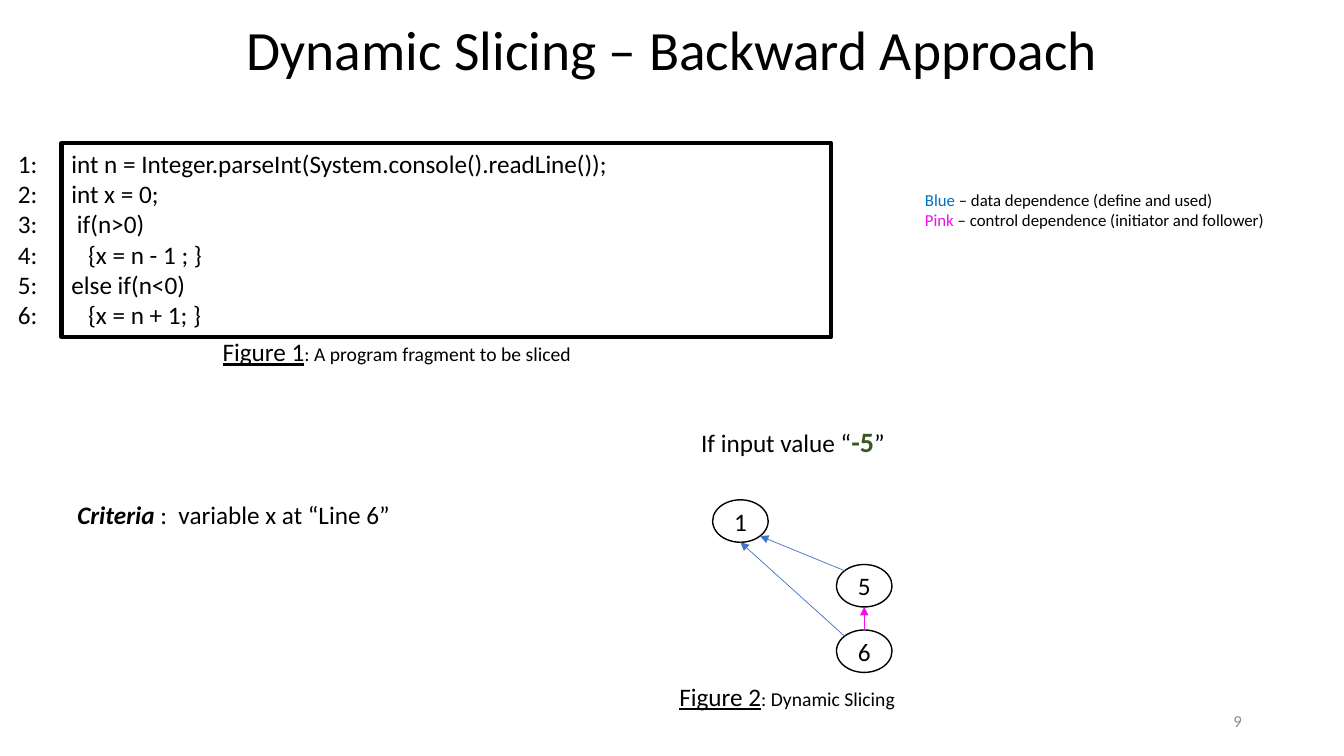
"""Build the slide on the backward approach to dynamic slicing."""
import math
import pptx
import pptx.util
import pptx.dml.color
import pptx.enum.shapes
import pptx.enum.text
import pptx.oxml.ns
import lxml.etree

Cm, Pt = pptx.util.Cm, pptx.util.Pt
RGBColor = pptx.dml.color.RGBColor
ALIGN = pptx.enum.text.PP_ALIGN
MIDDLE = pptx.enum.text.MSO_ANCHOR.MIDDLE
SHAPE = pptx.enum.shapes.MSO_SHAPE
qn = pptx.oxml.ns.qn

BLACK = RGBColor(0x00, 0x00, 0x00)
WHITE = RGBColor(0xFF, 0xFF, 0xFF)
GRAY = RGBColor(0x8C, 0x8C, 0x8C)
BLUE = RGBColor(0x00, 0x70, 0xC0)
LINK = RGBColor(0x44, 0x72, 0xC4)
PINK = RGBColor(0xF3, 0x0B, 0xED)
GREEN = RGBColor(0x38, 0x57, 0x23)


def write(frame, lines, size=18, color=BLACK, align=ALIGN.LEFT):
    """Fill a frame; each line is a list of (text, font settings) runs."""
    for i, line in enumerate(lines):
        para = frame.paragraphs[0] if i == 0 else frame.add_paragraph()
        para.alignment = align
        para.font.name = "Calibri"
        para.font.size = Pt(size)
        para.font.color.rgb = color
        for text, style in line:
            run = para.add_run()
            run.text = text
            for key, value in style.items():
                if key == "color":
                    run.font.color.rgb = value
                else:
                    setattr(run.font, key, value)


def label(left, top, width, height, lines, **style):
    """Add a text box, in centimetres, and return its frame."""
    box = slide.shapes.add_textbox(Cm(left), Cm(top), Cm(width), Cm(height))
    box.text_frame.word_wrap = True
    write(box.text_frame, lines, **style)
    return box.text_frame


deck = pptx.Presentation()
deck.slide_width, deck.slide_height = Cm(33.87), Cm(19.05)
slide = deck.slides.add_slide(deck.slide_layouts[5])

title = slide.shapes.title
title.left, title.top, title.width, title.height = Cm(1.7), Cm(0.43), Cm(30.48), Cm(1.78)
frame = title.text_frame
frame.auto_size = pptx.enum.text.MSO_AUTO_SIZE.NONE
frame.vertical_anchor = MIDDLE
write(frame, [[("Dynamic Slicing – Backward Approach", {})]], size=39.6, align=ALIGN.CENTER)
frame.paragraphs[0].line_spacing = 0.9

page = label(23.93, 17.65, 7.62, 1.02, [[("9", {})]], size=12, color=GRAY, align=ALIGN.RIGHT)
page.vertical_anchor = MIDDLE

code = [
    ("int n = Integer.parseInt(System.console().readLine());", 0),
    ("int x = 0;", 0),
    ("if(n>0)", 1),
    ("{x = n - 1 ; }", 3),
    ("else if(n<0)", 0),
    ("{x = n + 1; }", 3),
]
panel = slide.shapes.add_shape(SHAPE.RECTANGLE, Cm(1.55), Cm(3.61), Cm(19.4), Cm(4.88))
panel.shadow.inherit = False
panel.fill.background()
panel.line.color.rgb = BLACK
panel.line.width = Pt(3)
frame = panel.text_frame
frame.word_wrap = True
frame.vertical_anchor = pptx.enum.text.MSO_ANCHOR.TOP
write(frame, [[(text, {})] for text, depth in code])
for para, (text, depth) in zip(frame.paragraphs, code):
    para._p.get_or_add_pPr().set("marL", str(Cm(0.14 * depth)))
label(0.2, 3.61, 1.1, 4.88, [[(f"{i}:", {})] for i in range(1, len(code) + 1)])

small = {"size": Pt(14)}
under = {"underline": True}
label(5.36, 8.36, 9.6, 1.02,
      [[("Figure 1", under), (": A program fragment to be sliced", small)]])
label(16.87, 17.04, 6.4, 1.02,
      [[("Figure 2", under), (": Dynamic Slicing", small)]])
label(23.06, 4.65, 9.5, 1.27, [
    [("Blue", {"color": BLUE}), (" – data dependence (define and used)", {})],
    [("Pink", {"color": PINK}), (" – control dependence (initiator and follower)", {})],
], size=12)
label(17.42, 10.57, 5.4, 1.12, [[
    ("If input value “", {}),
    ("-5", {"size": Pt(20), "bold": True, "color": GREEN}),
    ("”", {}),
]])
label(1.7, 12.47, 8.7, 1.02, [[
    ("Criteria", {"bold": True, "italic": True}),
    (" :  variable x at “Line 6”", {}),
]])

wide, high = 1.4, 1.07
nodes = {"1": (18.66, 13.13), "5": (21.78, 14.76), "6": (21.78, 16.41)}
for name, (x, y) in nodes.items():
    node = slide.shapes.add_shape(
        SHAPE.OVAL, Cm(x - wide / 2), Cm(y - high / 2), Cm(wide), Cm(high))
    node.shadow.inherit = False
    node.fill.solid()
    node.fill.fore_color.rgb = WHITE
    node.line.color.rgb = BLACK
    node.line.width = Pt(1)
    frame = node.text_frame
    frame.margin_left = frame.margin_right = frame.margin_top = frame.margin_bottom = 0
    frame.vertical_anchor = MIDDLE
    write(frame, [[(name, {})]], align=ALIGN.CENTER)

edges = [
    (("5", 225), ("1", 45), LINK),
    (("6", 225), ("1", 90), LINK),
    (("6", 270), ("5", 90), PINK),
]
for start, end, color in edges:
    ends = []
    for name, angle in (start, end):
        x, y = nodes[name]
        turn = math.radians(angle)
        ends += [Cm(x + wide / 2 * math.cos(turn)), Cm(y + high / 2 * math.sin(turn))]
    arrow = slide.shapes.add_connector(pptx.enum.shapes.MSO_CONNECTOR.STRAIGHT, *ends)
    arrow.line.color.rgb = color
    arrow.line.width = Pt(0.5)
    lxml.etree.SubElement(arrow.line._get_or_add_ln(), qn("a:tailEnd"), type="triangle")
    lxml.etree.SubElement(arrow._element.spPr, qn("a:effectLst"))

deck.save("out.pptx")
